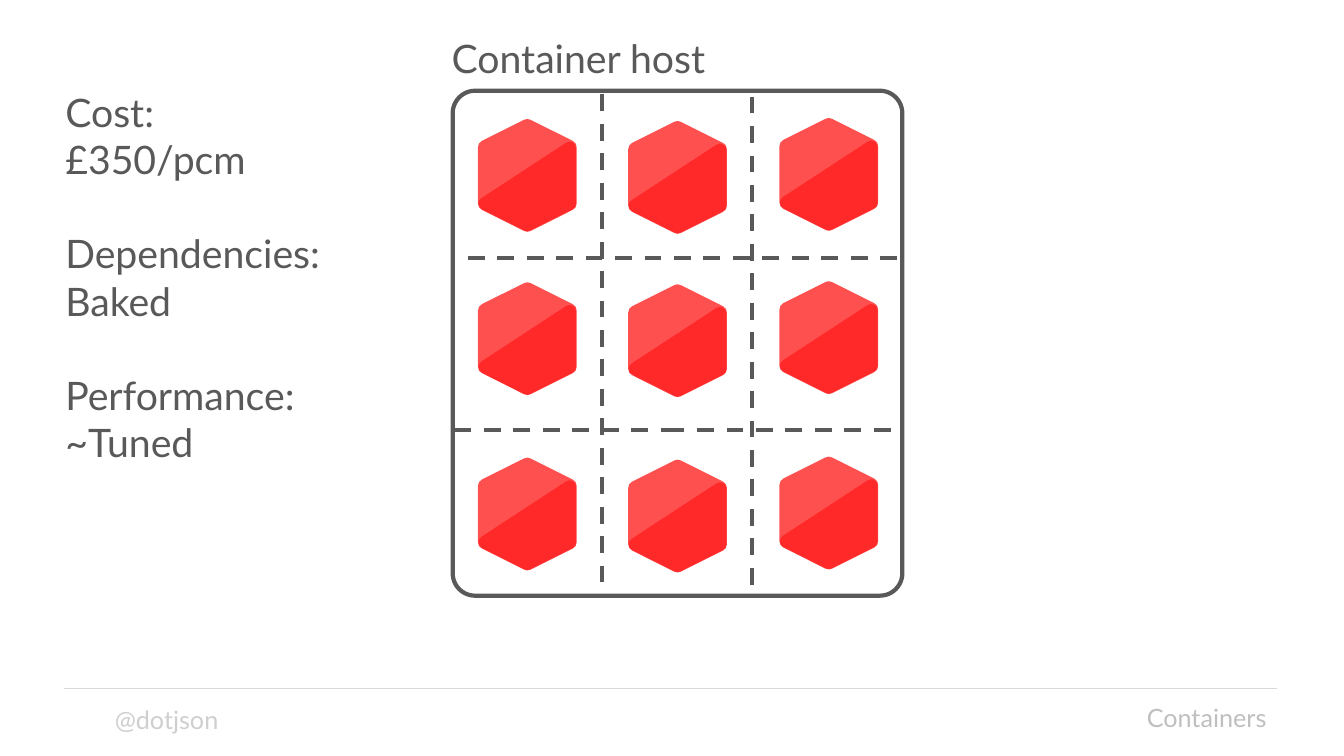
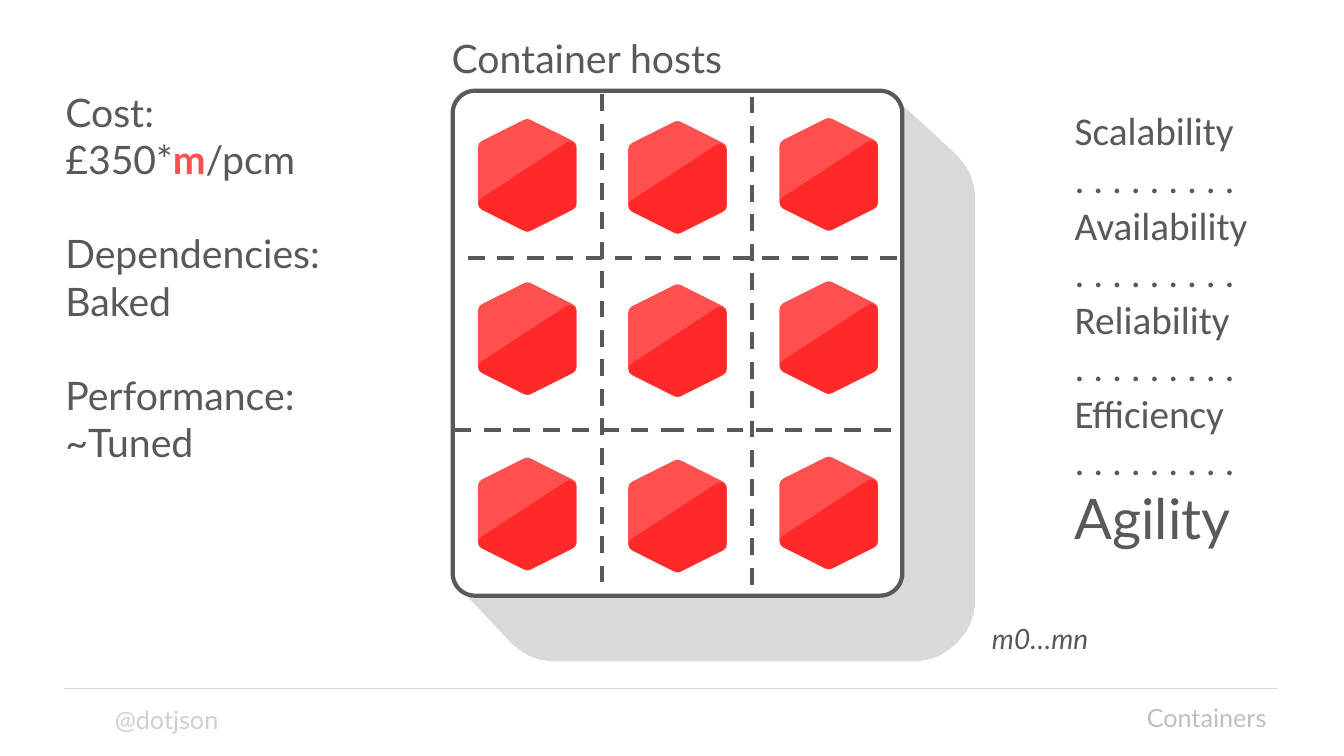
from dataclasses import dataclass
from math import cos, radians, sin

from lxml.etree import SubElement
from pptx import Presentation
from pptx.dml.color import RGBColor
from pptx.enum.dml import MSO_LINE_DASH_STYLE as Dash
from pptx.enum.shapes import MSO_CONNECTOR as Connector, MSO_SHAPE as Preset
from pptx.enum.text import MSO_ANCHOR as Anchor, MSO_AUTO_SIZE as AutoSize, PP_ALIGN as Align
from pptx.oxml.ns import qn
from pptx.shapes.autoshape import Shape
from pptx.slide import Slide, SlideLayout
from pptx.text.text import TextFrame
from pptx.util import Emu, Pt

PX = 9144  # EMU, so 100 px make an inch
TITLE_ONLY = 5


@dataclass(frozen=True)
class Theme:
    ink: str = "595959"
    rule: str = "D9D9D9"
    handle: str = "D0CECE"
    section: str = "BFBFBF"
    depth: str = "D9D9D9"
    paper: str = "FFFFFF"
    accent: str = "FF5050"
    facet: str = "FF2929"
    font: str = "Lato"
    list_font: str = "Calibri"
    body_size: int = 28
    footer_size: int = 18
    note_size: int = 20
    big_size: int = 40
    line_gap: float = 33.6
    host_line: float = 3
    hexagon_line: float = 10
    facet_line: float = 9.25


THEME = Theme()


@dataclass(frozen=True)
class Box:
    left: int
    top: int
    width: int
    height: int

    def emu(self) -> tuple[Emu, ...]:
        return tuple(Emu(n * PX) for n in (self.left, self.top, self.width, self.height))


@dataclass(frozen=True)
class Run:
    text: str
    color: str = THEME.ink
    size: int = THEME.body_size
    font: str = THEME.font
    bold: bool = False
    italic: bool = False


@dataclass(frozen=True)
class Line:
    runs: tuple[Run, ...]
    space_before: float = 0


@dataclass(frozen=True)
class Column:
    center: int
    drop: int


TITLE_BOX = Box(438, 29, 442, 57)
FACTS_BOX = Box(55, 83, 363, 387)
QUALITIES_BOX = Box(1056, 101, 223, 549)
NOTE_BOX = Box(974, 612, 131, 44)
HANDLE_BOX = Box(104, 694, 213, 40)
SECTION_BOX = Box(908, 692, 358, 40)

HOST = Box(449, 90, 446, 501)
DIVIDERS = (Box(597, 90, 149, 501), Box(449, 256, 446, 171))
COLUMNS = (Column(523, 1), Column(672, 3), Column(822, 0))
ROWS = (173, 335, 509)
HEXAGON_LENGTH, HEXAGON_WIDTH = 98, 84
FACET = ((-42, 28), (42, -27), (42, 28), (0, 49))
QUALITIES = ("Scalability", "Availability", "Reliability", "Efficiency")


def rgb(color: str) -> RGBColor:
    return RGBColor.from_string(color)


def write(frame: TextFrame, *lines: Line, align: Align = Align.LEFT) -> None:
    frame.word_wrap = True
    frame.auto_size = AutoSize.NONE
    frame.vertical_anchor = Anchor.TOP
    for number, line in enumerate(lines):
        paragraph = frame.add_paragraph() if number else frame.paragraphs[0]
        paragraph.alignment = align
        paragraph.space_before = Pt(line.space_before)
        for part in line.runs:
            run = paragraph.add_run()
            run.text = part.text
            run.font.name = part.font
            run.font.size = Pt(part.size)
            run.font.bold = part.bold
            run.font.italic = part.italic
            run.font.color.rgb = rgb(part.color)


def plain(text: str, *, space_before: float = 0, **text_format) -> Line:
    """Make a line of one run, formatted by the fields of Run."""
    return Line((Run(text, **text_format),), space_before)


def add_text(slide: Slide, box: Box, *lines: Line, align: Align = Align.LEFT) -> Shape:
    text_box = slide.shapes.add_textbox(*box.emu())
    write(text_box.text_frame, *lines, align=align)
    return text_box


def paint(shape: Shape, *, fill: str | None = None, line: str | None = None,
          width: float = 0, dashed: bool = False) -> Shape:
    shape.shadow.inherit = False
    if fill:
        shape.fill.solid()
        shape.fill.fore_color.rgb = rgb(fill)
    else:
        shape.fill.background()
    if line:
        shape.line.color.rgb = rgb(line)
        shape.line.width = Pt(width)
        if dashed:
            shape.line.dash_style = Dash.DASH
    else:
        shape.line.fill.background()
    return shape


def add_outline(shapes, points: list[tuple[int, int]]) -> Shape:
    builder = shapes.build_freeform(*points[0], scale=PX)
    builder.add_line_segments(points[1:], close=True)
    return builder.convert_to_shape()


def decorate_layout(layout: SlideLayout, slide: Slide) -> None:
    """Draw the rule and the handle on a slide, then move them to its layout."""
    rule = slide.shapes.add_connector(
        Connector.STRAIGHT, *(Emu(n * PX) for n in (63, 683, 1267, 683)))
    rule.line.color.rgb = rgb(THEME.rule)
    rule.line.width = Pt(1)
    SubElement(rule.element.spPr, qn("a:effectLst"))
    handle = add_text(slide, HANDLE_BOX,
                      plain("@dotjson", color=THEME.handle, size=THEME.footer_size))
    for number, shape in enumerate((rule, handle), start=101):
        shape.element.xpath(".//p:cNvPr")[0].set("id", str(number))
        layout.shapes.element.append(shape.element)


def arc(x: int, y: int, start: int, end: int, radius: int = 61) -> list[tuple[int, int]]:
    return [(round(x + radius * cos(radians(angle))), round(y + radius * sin(radians(angle))))
            for angle in range(start, end + 1, 3)]


def add_depth(slide: Slide) -> None:
    """Draw the grey block that stands for the hosts behind the front one."""
    points = [(883, 93), *arc(906, 197, -48, 0), *arc(906, 595, 0, 90),
              *arc(550, 595, 90, 132), (460, 588)]
    paint(add_outline(slide.shapes, points), fill=THEME.depth)


def add_container(slide: Slide, x: int, y: int) -> None:
    """Draw an upright hexagon with a darker facet, centred on x and y."""
    group = slide.shapes.add_group_shape()
    box = Box(x - HEXAGON_LENGTH // 2, y - HEXAGON_WIDTH // 2, HEXAGON_LENGTH, HEXAGON_WIDTH)
    hexagon = group.shapes.add_shape(Preset.HEXAGON, *box.emu())
    hexagon.rotation = 90
    paint(hexagon, fill=THEME.accent, line=THEME.accent, width=THEME.hexagon_line)
    facet = add_outline(group.shapes, [(x + across, y + down) for across, down in FACET])
    paint(facet, fill=THEME.facet, line=THEME.facet, width=THEME.facet_line)


def add_host(slide: Slide) -> None:
    frame = slide.shapes.add_shape(Preset.ROUNDED_RECTANGLE, *HOST.emu())
    frame.adjustments[0] = 0.05
    paint(frame, fill=THEME.paper, line=THEME.ink, width=THEME.host_line)
    for box in DIVIDERS:
        divider = slide.shapes.add_shape(Preset.RECTANGLE, *box.emu())
        paint(divider, line=THEME.ink, width=THEME.host_line, dashed=True)
    for row in ROWS:
        for column in COLUMNS:
            add_container(slide, column.center, row + column.drop)


def fill_slide(slide: Slide, title: str, cost: Line) -> None:
    """Add what both slides show: title, facts, host and section name."""
    heading = slide.shapes.title
    heading.left, heading.top, heading.width, heading.height = TITLE_BOX.emu()
    write(heading.text_frame, plain(title))
    add_text(slide, FACTS_BOX,
             plain("Cost:"), cost,
             plain("Dependencies:", space_before=THEME.line_gap), plain("Baked"),
             plain("Performance:", space_before=THEME.line_gap), plain("~Tuned"))
    add_host(slide)
    add_text(slide, SECTION_BOX,
             plain("Containers", color=THEME.section, size=THEME.footer_size),
             align=Align.RIGHT)


def add_qualities(slide: Slide) -> None:
    lines = [plain(text, font=THEME.list_font)
             for quality in QUALITIES for text in (quality, ". . . . . . . . .")]
    add_text(slide, QUALITIES_BOX, *lines, plain("Agility", size=THEME.big_size))


def main() -> None:
    presentation = Presentation()
    presentation.slide_width, presentation.slide_height = Emu(1333 * PX), Emu(750 * PX)
    layout = presentation.slide_layouts[TITLE_ONLY]

    one_host = presentation.slides.add_slide(layout)
    decorate_layout(layout, one_host)
    fill_slide(one_host, "Container host", plain("£350/pcm"))

    many_hosts = presentation.slides.add_slide(layout)
    add_depth(many_hosts)
    fill_slide(many_hosts, "Container hosts",
               Line((Run("£350*"), Run("m", color=THEME.accent, bold=True), Run("/pcm"))))
    add_text(many_hosts, NOTE_BOX, plain("m0…mn", size=THEME.note_size, italic=True))
    add_qualities(many_hosts)

    presentation.save("out.pptx")


if __name__ == "__main__":
    main()
